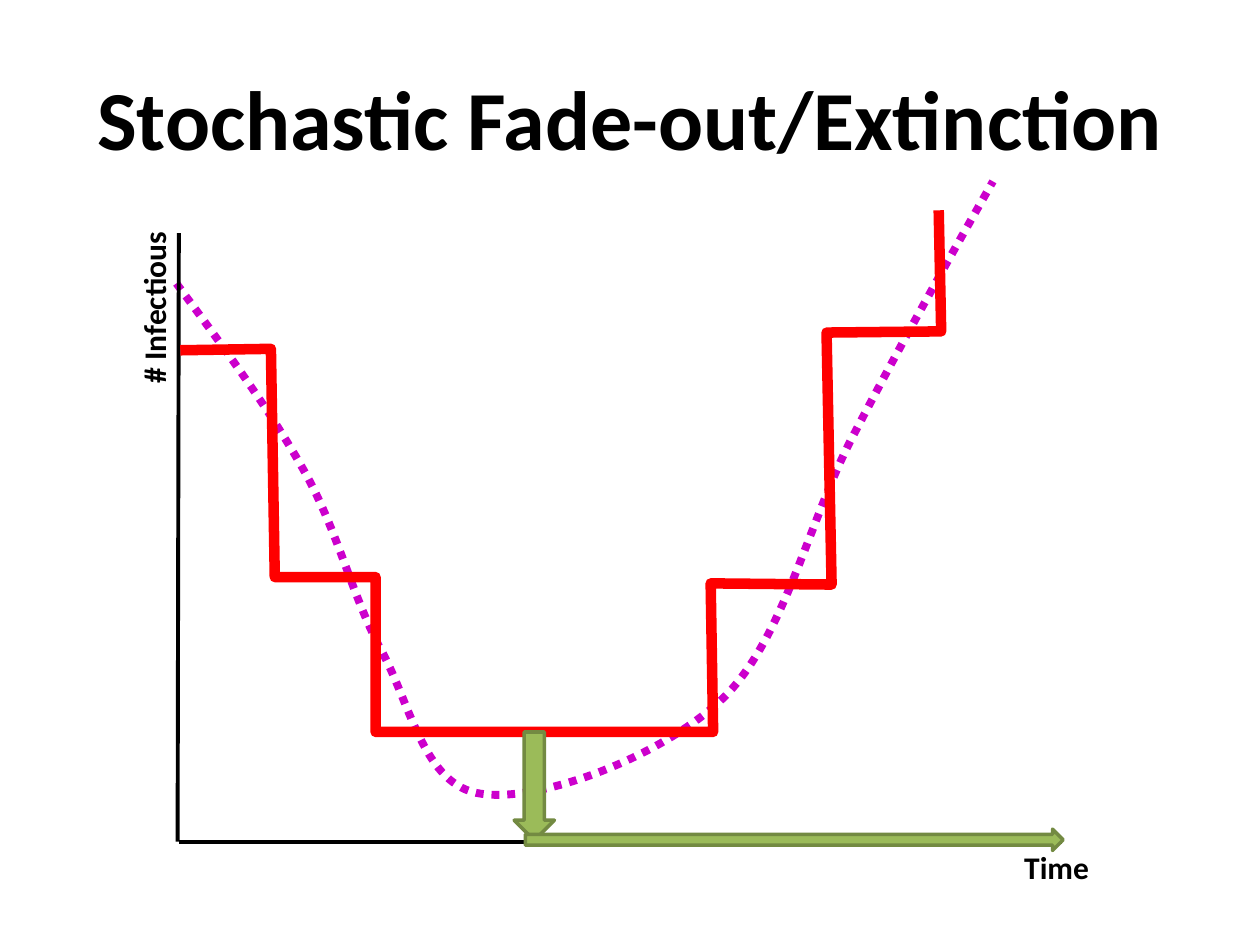
from lxml.etree import SubElement
from pptx import Presentation
from pptx.dml.color import RGBColor
from pptx.enum.dml import MSO_LINE
from pptx.enum.shapes import MSO_CONNECTOR, MSO_SHAPE
from pptx.enum.text import MSO_ANCHOR, MSO_AUTO_SIZE, PP_ALIGN
from pptx.oxml.ns import qn
from pptx.util import Pt

BLACK = RGBColor(0x00, 0x00, 0x00)
RED = RGBColor(0xFF, 0x00, 0x00)
PURPLE = RGBColor(0xCC, 0x00, 0xCC)
GREEN = RGBColor(0x9B, 0xBB, 0x59)
DARK_GREEN = RGBColor(0x73, 0x8A, 0x42)

TITLE_FONT = {"name": "Calibri", "size": Pt(48), "bold": True}
LABEL_FONT = {"name": "Calibri", "size": Pt(18), "bold": True}
TITLE_BOX = {"left": Pt(36), "top": Pt(21.6), "width": Pt(648), "height": Pt(90)}

TREND_START = (100.8, 162)
TREND_CURVES = [
    [(127.4, 198), (154.1, 234), (173.5, 268.6)],
    [(193, 303.1), (200.9, 339.8), (217.4, 370.8)],
    [(234.7, 401.8), (241.9, 449.3), (275, 453.6)],
    [(307.4, 458.6), (377.3, 433.4), (413.3, 398.9)],
    [(448.6, 364.3), (462.2, 296.6), (488.2, 247.7)],
    [(514.1, 198), (540.7, 150.5), (567.4, 103.7)],
]
INFECTIOUS_STEPS = [
    (103, 200.2), (154.8, 199.4), (157, 329.8), (214.6, 329.8),
    (214.6, 418.3), (407.5, 418.3), (406.1, 333.4), (475.2, 334.1),
    (472.3, 190.1), (537.8, 189.4), (536.4, 120.2),
]


def apply_format(target, values):
    """Set every attribute named in values on target."""
    for attribute, value in values.items():
        setattr(target, attribute, value)


def style_line(line, color, width):
    """Give a line its colour and its width in points."""
    line.color.rgb = color
    line.width = Pt(width)


def write_text(frame, wording, font_values, alignment):
    """Write one formatted black paragraph."""
    frame.text = wording
    paragraph = frame.paragraphs[0]
    paragraph.alignment = alignment
    font = paragraph.runs[0].font
    apply_format(font, font_values)
    font.color.rgb = BLACK


def add_label(slide, wording, box, rotation=0):
    """Add an axis label in a box of points."""
    label = slide.shapes.add_textbox(*map(Pt, box))
    label.rotation = rotation
    apply_format(label.text_frame, {"word_wrap": True, "auto_size": MSO_AUTO_SIZE.SHAPE_TO_FIT_TEXT})
    write_text(label.text_frame, wording, LABEL_FONT, PP_ALIGN.LEFT)


def add_axis(slide, start, end):
    """Add a straight black axis."""
    axis = slide.shapes.add_connector(MSO_CONNECTOR.STRAIGHT, *map(Pt, start + end))
    style_line(axis.line, BLACK, 2.25)
    SubElement(axis._element.spPr, qn("a:effectLst"))


def add_path(slide, points, color, width):
    """Add an open unfilled path through points."""
    vertices = [(Pt(x), Pt(y)) for x, y in points]
    builder = slide.shapes.build_freeform(*vertices[0])
    builder.add_line_segments(vertices[1:], close=False)
    path = builder.convert_to_shape()
    path.shadow.inherit = False
    path.fill.background()
    style_line(path.line, color, width)
    return path


def add_trend(slide):
    """Add the dotted trend, bending its segments into cubic curves."""
    anchors = [TREND_START] + [curve[-1] for curve in TREND_CURVES]
    trend = add_path(slide, anchors, PURPLE, 4.5)
    trend.line.dash_style = MSO_LINE.ROUND_DOT
    segments = list(trend._element.iter(qn("a:lnTo")))
    for segment, curve in zip(segments, TREND_CURVES):
        bend = SubElement(segment.getparent(), qn("a:cubicBezTo"))
        for x, y in curve:
            SubElement(bend, qn("a:pt"), x=str(Pt(x) - trend.left), y=str(Pt(y) - trend.top))
        segment.getparent().replace(segment, bend)


def add_arrow(slide, direction, box):
    """Add a green block arrow."""
    arrow = slide.shapes.add_shape(direction, *map(Pt, box))
    arrow.shadow.inherit = False
    arrow.fill.solid()
    arrow.fill.fore_color.rgb = GREEN
    style_line(arrow.line, DARK_GREEN, 2)


def add_title(slide, wording):
    """Place and format the slide title."""
    title = slide.shapes.title
    apply_format(title, TITLE_BOX)
    title.text_frame.vertical_anchor = MSO_ANCHOR.MIDDLE
    write_text(title.text_frame, wording, TITLE_FONT, PP_ALIGN.CENTER)


def main():
    """Build and save the slide."""
    deck = Presentation()
    apply_format(deck, {"slide_width": Pt(720), "slide_height": Pt(540)})
    slide = deck.slides.add_slide(deck.slide_layouts[5])
    add_title(slide, "Stochastic Fade-out/Extinction")
    add_trend(slide)
    add_axis(slide, (102.2, 133.2), (101.5, 481))
    add_axis(slide, (607, 481), (102.2, 481))
    add_label(slide, "Time", (578.2, 481, 57.6, 28.8))
    add_label(slide, "# Infectious", (26.6, 150.5, 122.4, 28.8), 270)
    add_path(slide, INFECTIOUS_STEPS, RED, 6)
    add_arrow(slide, MSO_SHAPE.DOWN_ARROW, (293.8, 418.3, 23, 61.9))
    add_arrow(slide, MSO_SHAPE.RIGHT_ARROW, (300.2, 473.8, 307.4, 12.2))
    deck.save("out.pptx")


if __name__ == "__main__":
    main()
